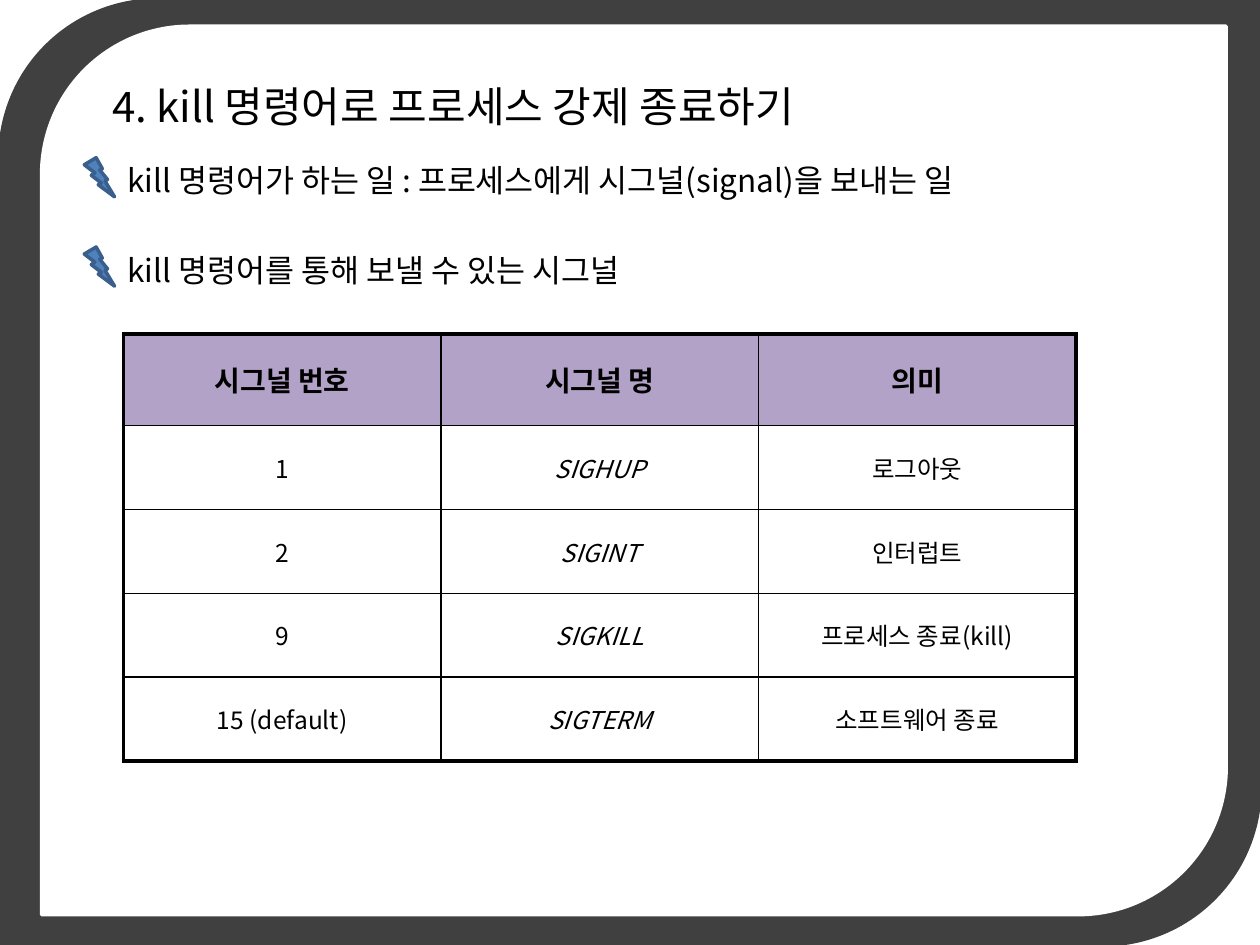
from lxml import etree
from pptx import Presentation
from pptx import util as u
from pptx.dml.color import RGBColor
from pptx.enum import shapes, text
from pptx.oxml import ns

COLORS = {"frame": "404040", "paper": "FFFFFF", "ink": "000000",
          "bolt": "4F81BD", "bolt_edge": "3A5F8C", "header": "B3A2C7"}
FONT = "Noto Sans CJK KR"


def write(frame, words, size, align, **formats):
    """Put one formatted line of Korean text into a text frame."""
    para = frame.paragraphs[0]
    para.alignment = align
    span = para.add_run()
    span.text = words
    span.font.color.rgb = RGBColor.from_string(COLORS["ink"])
    for name, value in {"name": FONT, "size": u.Pt(size), **formats}.items():
        setattr(span.font, name, value)
    east = etree.SubElement(span.font._element, ns.qn("a:ea"))
    east.set("typeface", FONT)
    return para


def add_figure(kind, place, fill, edge):
    """Add a filled preset shape; place is left, top, width, height in cm."""
    figure = page.shapes.add_shape(kind, *map(u.Cm, place))
    figure.shadow.inherit = False
    figure.fill.solid()
    figure.fill.fore_color.rgb = RGBColor.from_string(COLORS[fill])
    figure.line.color.rgb = RGBColor.from_string(COLORS[edge])
    figure.line.width = u.Pt(2)
    return figure


deck = Presentation()
deck.slide_width, deck.slide_height = u.Cm(25.4), u.Cm(19.05)
page = deck.slides.add_slide(deck.slide_layouts.get_by_name("Two Content"))

# Frame and paper, sent behind the placeholders
rounded = shapes.MSO_SHAPE.ROUND_2_DIAG_RECTANGLE
backdrop = [add_figure(rounded, (0, 0, 25.4, 19.05), "frame", "frame"),
            add_figure(rounded, (0.84, 0.53, 23.88, 17.91), "paper", "paper")]
for depth, figure in enumerate(backdrop):
    page.shapes._spTree.insert(2 + depth, figure._element)

# Title and the two points
lines = [
    ("4. kill 명령어로 프로세스 강제 종료하기", 24, (2.01, 1.5, 20.83, 1.27)),
    ("kill 명령어가 하는 일 : 프로세스에게 시그널(signal)을 보내는 일", 18,
     (2.31, 3.12, 19.81, 1.02)),
    ("kill 명령어를 통해 보낼 수 있는 시그널", 18, (2.31, 4.93, 19.81, 1.02)),
]
for box, (words, size, place) in zip(page.placeholders, lines):
    for side, length in zip(("left", "top", "width", "height"), place):
        setattr(box, side, u.Cm(length))
    frame = box.text_frame
    frame.word_wrap = True
    frame.auto_size = text.MSO_AUTO_SIZE.NONE
    frame.vertical_anchor = text.MSO_ANCHOR.TOP
    para = write(frame, words, size, text.PP_ALIGN.LEFT)
    etree.SubElement(para._p.get_or_add_pPr(), ns.qn("a:buNone"))
    para.space_before = u.Pt(0)

# Lightning bolts that mark the points
for top in (3.18, 4.98):
    add_figure(shapes.MSO_SHAPE.LIGHTNING_BOLT, (1.7, top, 0.61, 0.79),
               "bolt", "bolt_edge")

# Signal table
signals = [
    ("시그널 번호", "시그널 명", "의미"),
    ("1", "SIGHUP", "로그아웃"),
    ("2", "SIGINT", "인터럽트"),
    ("9", "SIGKILL", "프로세스 종료(kill)"),
    ("15 (default)", "SIGTERM", "소프트웨어 종료"),
]
last_row, last_col = len(signals) - 1, len(signals[0]) - 1
table = page.shapes.add_table(last_row + 1, last_col + 1, u.Cm(2.49), u.Cm(6.73),
                              u.Cm(19.2), u.Cm(8.61)).table
table.first_row = table.horz_banding = False
for column in table.columns:
    column.width = u.Cm(6.4)
for row_no, entries in enumerate(signals):
    header = row_no == 0
    table.rows[row_no].height = u.Cm(1.85 if header else 1.69)
    for col_no, words in enumerate(entries):
        cell = table.cell(row_no, col_no)
        cell.vertical_anchor = text.MSO_ANCHOR.MIDDLE
        write(cell.text_frame, words, 16 if header else 14, text.PP_ALIGN.CENTER,
              bold=header, italic=col_no == 1 and not header)

        # Thick outer edges, thin inner ones
        outer = {"lnL": col_no == 0, "lnR": col_no == last_col,
                 "lnT": header, "lnB": row_no == last_row}
        for edge, thick in outer.items():
            border = etree.SubElement(cell._tc.get_or_add_tcPr(), ns.qn("a:" + edge),
                                      w=str(u.Pt(2.25 if thick else 1)))
            paint = etree.SubElement(border, ns.qn("a:solidFill"))
            etree.SubElement(paint, ns.qn("a:srgbClr"), val=COLORS["ink"])

        if header:
            cell.fill.solid()
            cell.fill.fore_color.rgb = RGBColor.from_string(COLORS["header"])
        else:
            cell.fill.background()

deck.save("out.pptx")
